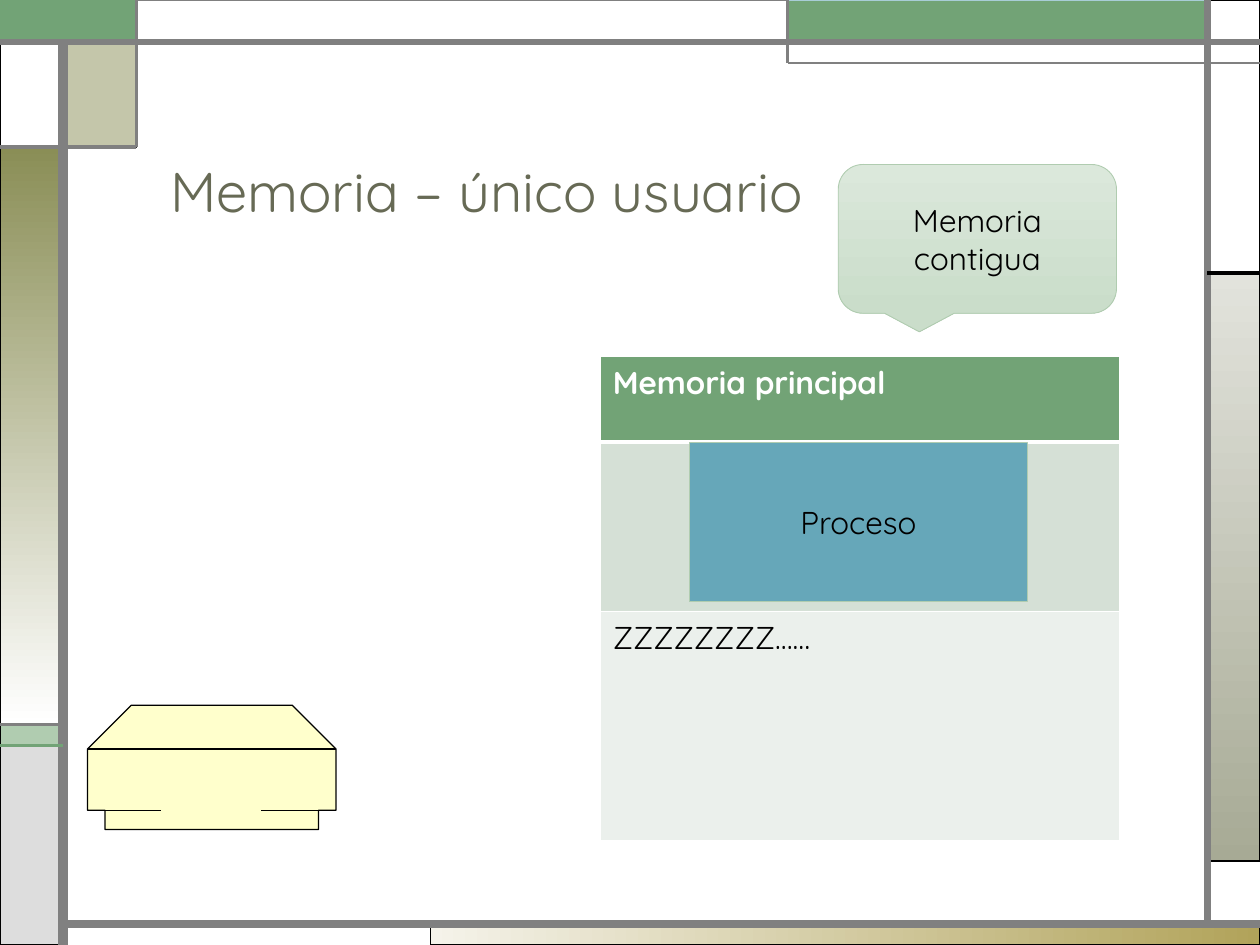
"""Build a slide about single-user contiguous memory."""
import lxml.etree
import pptx
import pptx.dml.color
import pptx.enum.shapes
import pptx.enum.text
import pptx.oxml.ns
import pptx.util

Pt = pptx.util.Pt
qn = pptx.oxml.ns.qn
SHAPE = pptx.enum.shapes.MSO_SHAPE
ALIGN = pptx.enum.text.PP_ALIGN
ANCHOR = pptx.enum.text.MSO_ANCHOR

THEME = {
    "font": "Quicksand", "title_size": 32, "text_size": 18,
    "title": "676A55", "text": "000000", "white": "FFFFFF", "black": "000000",
    "gray": "808080", "pale_gray": "DDDDDD", "green": "72A376", "light_green": "B0CCB0",
    "olive": "8A8E56", "sky": "A8CDD7", "process": "66A7B9", "drive": "FFFFCC",
    "row_dark": "D5E0D6", "row_light": "EBF0EC",
    "sand_fade": ("F5F3EA", "B1A35A", 0), "gray_fade": ("E2E3DC", "A7AA95", 270),
    "olive_fade": ("8A8E56", "FFFFFF", 270), "green_fade": ("DBE8DB", "CADDCA", 270),
}

TITLE = "Memoria – único usuario"
TITLE_BOX = (90, 42, 567, 90)

PANELS = [
    ((246, 528, 720, 540), "sand_fade", "black", 0.75),
    ((690, 156, 720, 492), "gray_fade", "black", 0.75),
    ((0, 414, 36, 426), "light_green", "black", 0.75),
    ((0, 426, 36, 540), "pale_gray", "black", 0.75),
    ((690, 0, 720, 156), "white", "black", 0.75),
    ((450, 0, 690, 24), "green", "sky", 0.75),
    ((36, 24, 78, 84), "olive", "black", 0.75),
    ((0, 84, 36, 414), "olive_fade", "black", 0.75),
    ((0, 24, 36, 84), "white", "black", 0.75),
    ((0, 0, 78, 24), "green", "green", 1.5),
    ((78, 0, 450, 24), "white", "gray", 0.75),
]
TRANSLUCENT_PANEL = 6

RULES = [
    ((36, 540, 36, 24), "gray", 6),
    ((36, 528, 720, 528), "gray", 4.5),
    ((690, 528, 690, 0), "gray", 4.5),
    ((0, 24, 720, 24), "gray", 3),
    ((720, 36, 450, 36), "gray", 1.5),
    ((450, 36, 450, 0), "gray", 1.5),
    ((690, 156, 720, 156), "black", 2.25),
    ((78, 0, 78, 84), "gray", 1.5),
    ((78, 84, 0, 84), "gray", 2.25),
    ((36, 414, 0, 414), "gray", 2.25),
    ((36, 426, 0, 426), "green", 2.25),
]

MEMORY_BOX = (343, 203.8, 297, 276.5)
MEMORY_ROWS = [
    ("Memoria principal", 48.7, "green", "white", True, 3),
    ("", 96.9, "row_dark", "text", False, 1),
    ("ZZZZZZZZ……", 130.9, "row_light", "text", False, 1),
]
PROCESS = ("Proceso", (394, 253, 193, 91))
CALLOUT = ("Memoria contigua", (479, 94, 159, 85))

DRIVE_OUTLINES = [
    [(192.5, 428), (167, 403), (75, 403), (50, 428), (50, 463), (59.5, 463),
     (59.5, 474.5), (181.5, 474.5), (181.5, 463), (192.5, 463), (192.5, 428)],
    [(60.5, 463), (92, 463)],
    [(181.5, 463), (149, 463)],
    [(50, 428), (192.5, 428)],
]


def rgb(name):
    return pptx.dml.color.RGBColor.from_string(THEME[name])


def write(frame, text, size="text_size", color="text", bold=False,
          align=ALIGN.LEFT, anchor=ANCHOR.MIDDLE, spacing=None):
    frame.word_wrap = True
    frame.vertical_anchor = anchor
    para = frame.paragraphs[0]
    para.alignment = align
    para.line_spacing = spacing
    span = para.add_run()
    span.text = text
    span.font.name = THEME["font"]
    span.font.size = Pt(THEME[size])
    span.font.color.rgb = rgb(color)
    span.font.bold = bold


def paint(box, fill, line, width):
    box.shadow.inherit = False
    if isinstance(THEME[fill], tuple):
        *colors, angle = THEME[fill]
        box.fill.gradient()
        box.fill.gradient_angle = angle
        for stop, color in zip(box.fill.gradient_stops, colors):
            stop.color.rgb = pptx.dml.color.RGBColor.from_string(color)
    else:
        box.fill.solid()
        box.fill.fore_color.rgb = rgb(fill)
    box.line.color.rgb = rgb(line)
    box.line.width = Pt(width)


def add_box(page, kind, place, fill, line, width):
    box = page.shapes.add_shape(kind, *map(Pt, place))
    paint(box, fill, line, width)
    return box


def add_frame(page):
    for index, ((left, top, right, bottom), fill, line, width) in enumerate(PANELS):
        place = (left, top, right - left, bottom - top)
        panel = add_box(page, SHAPE.RECTANGLE, place, fill, line, width)
        if index == TRANSLUCENT_PANEL:
            color = panel.fill._xPr.find(qn("a:solidFill"))[0]
            lxml.etree.SubElement(color, qn("a:alpha"), val="50000")
    for ends, color, width in RULES:
        rule = page.shapes.add_connector(
            pptx.enum.shapes.MSO_CONNECTOR.STRAIGHT, *map(Pt, ends))
        rule.line.color.rgb = rgb(color)
        rule.line.width = Pt(width)
        lxml.etree.SubElement(rule._element.spPr, qn("a:effectLst"))


def add_borders(cell, widths):
    properties = cell._tc.get_or_add_tcPr()
    for index, (side, width) in enumerate(widths.items()):
        border = lxml.etree.Element(qn("a:ln" + side), w=str(Pt(width)))
        fill = lxml.etree.SubElement(border, qn("a:solidFill"))
        lxml.etree.SubElement(fill, qn("a:srgbClr"), val=THEME["white"])
        properties.insert(index, border)


def add_memory(page):
    table = page.shapes.add_table(len(MEMORY_ROWS), 1, *map(Pt, MEMORY_BOX)).table
    above = 1
    for index, (text, height, fill, color, bold, below) in enumerate(MEMORY_ROWS):
        table.rows[index].height = Pt(height)
        cell = table.cell(index, 0)
        cell.fill.solid()
        cell.fill.fore_color.rgb = rgb(fill)
        add_borders(cell, {"L": 1, "R": 1, "T": above, "B": below})
        above = below
        if text:
            write(cell.text_frame, text, color=color, bold=bold, anchor=ANCHOR.TOP)


def add_drive(page):
    first, *others = DRIVE_OUTLINES
    builder = page.shapes.build_freeform(*first[0], scale=float(Pt(1)))
    builder.add_line_segments(first[1:], close=False)
    for start, *rest in others:
        builder.move_to(*start)
        builder.add_line_segments(rest, close=False)
    paint(builder.convert_to_shape(), "drive", "black", 0.75)


def main():
    deck = pptx.Presentation()
    deck.slide_width, deck.slide_height = Pt(720), Pt(540)
    page = deck.slides.add_slide(deck.slide_layouts[5])
    add_frame(page)
    title = page.shapes.title
    title.left, title.top, title.width, title.height = map(Pt, TITLE_BOX)
    title.text_frame.auto_size = pptx.enum.text.MSO_AUTO_SIZE.NONE
    write(title.text_frame, TITLE, size="title_size", color="title",
          anchor=ANCHOR.BOTTOM, spacing=0.9)
    add_memory(page)
    text, place = PROCESS
    process = add_box(page, SHAPE.RECTANGLE, place, "process", "light_green", 0.5)
    write(process.text_frame, text, align=ALIGN.CENTER)
    add_drive(page)
    text, place = CALLOUT
    callout = add_box(page, SHAPE.ROUNDED_RECTANGULAR_CALLOUT, place,
                      "green_fade", "light_green", 0.5)
    write(callout.text_frame, text, align=ALIGN.CENTER)
    deck.save("out.pptx")


if __name__ == "__main__":
    main()
